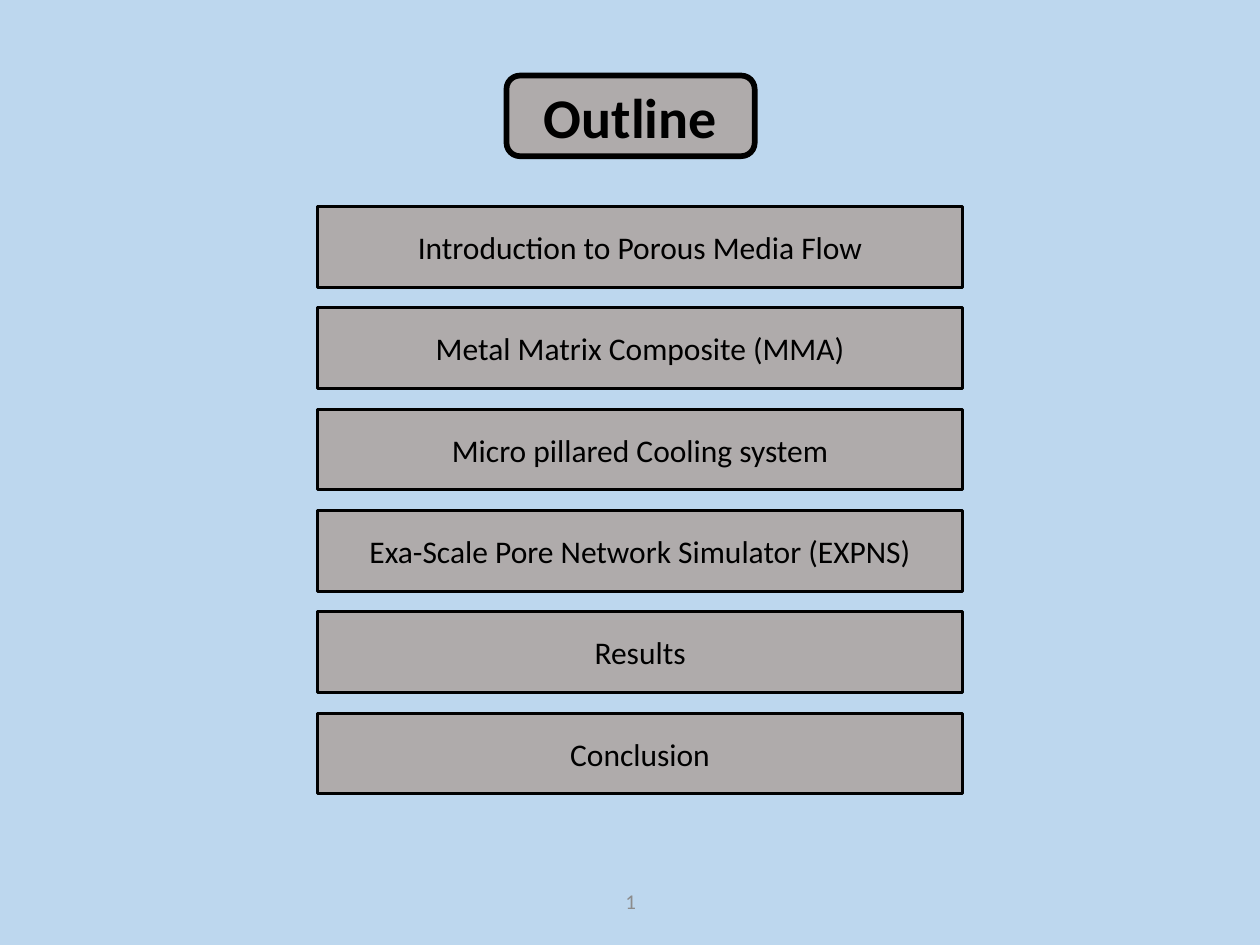
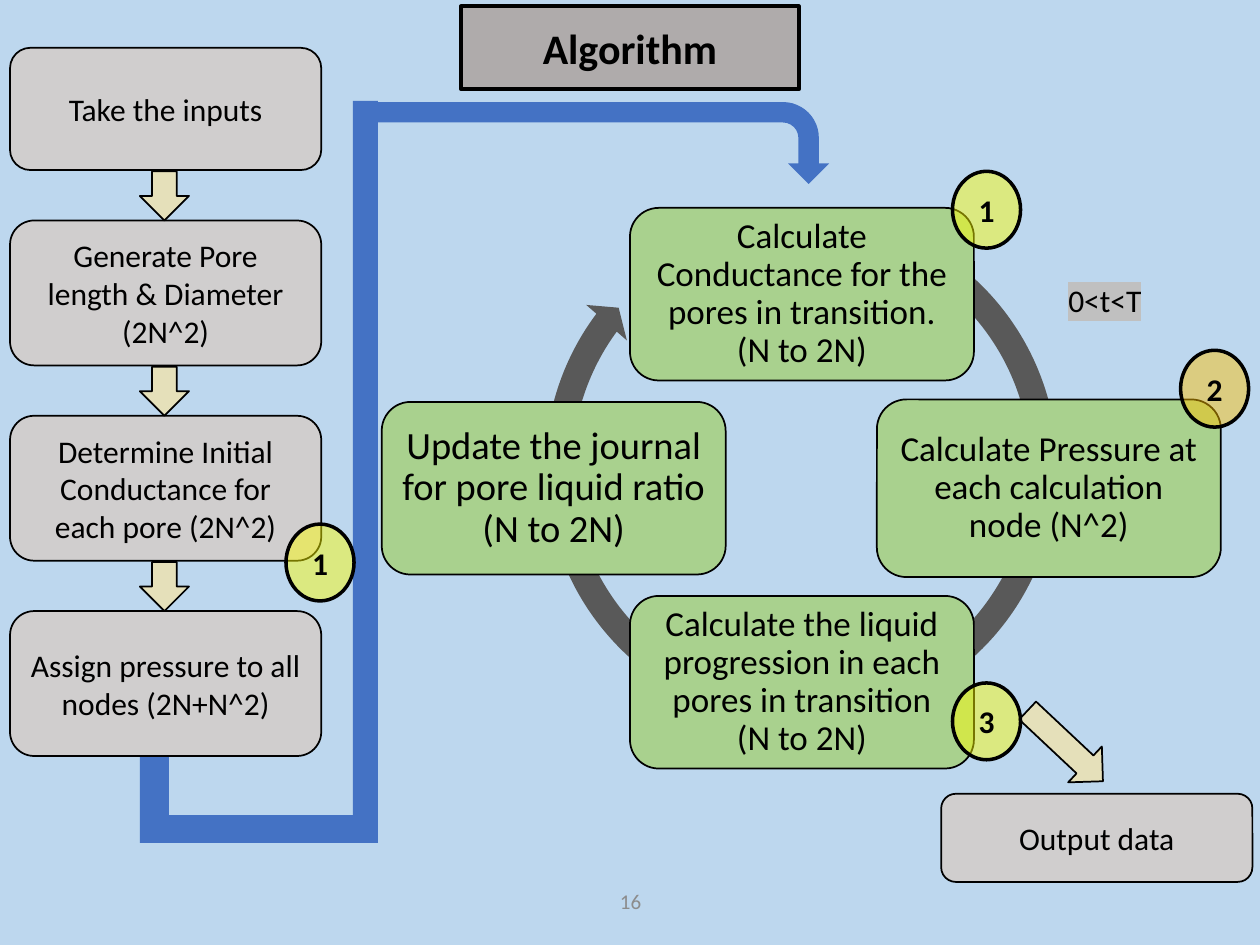
from lxml import etree
from pptx import Presentation
from pptx.dml.color import RGBColor
from pptx.enum.shapes import MSO_SHAPE as SHAPE
from pptx.enum.text import MSO_ANCHOR as ANCHOR, MSO_AUTO_SIZE as AUTO, PP_ALIGN as ALIGN
from pptx.oxml.ns import qn
from pptx.util import Inches, Pt

FONT = "Calibri"
BLACK = RGBColor(0x00, 0x00, 0x00)
SKY = RGBColor(0xBD, 0xD7, 0xEE)
STONE = RGBColor(0xAF, 0xAB, 0xAB)
SILVER = RGBColor(0xD0, 0xCE, 0xCE)
GREEN = RGBColor(0xA9, 0xD1, 0x8E)
BLUE = RGBColor(0x44, 0x72, 0xC4)
CHARCOAL = RGBColor(0x59, 0x59, 0x59)
CREAM = RGBColor(0xFF, 0xE6, 0x99)
YELLOW = RGBColor(0xFF, 0xFF, 0x00)
AMBER = RGBColor(0xFF, 0xC0, 0x00)
NUMBER_GREY = RGBColor(0x8C, 0x8C, 0x8C)

TOPICS = [
    "Introduction to Porous Media Flow",
    "Metal Matrix Composite (MMA)",
    "Micro pillared Cooling system",
    "Exa-Scale Pore Network Simulator (EXPNS)",
    "Results",
    "Conclusion",
]
TOPIC_TOP, TOPIC_LAST = 1.64, 5.66

SETUP_STEPS = [
    "Generate Pore\nlength & Diameter (2N^2)",
    "Determine Initial Conductance for each pore (2N^2)",
    "Assign pressure to all nodes (2N+N^2)",
]
SETUP_LEFT, SETUP_WIDTH = 0.08, 2.47
SETUP_TOP, SETUP_PITCH = 1.75, 1.55
ARROW = 0.39

CYCLE_STEPS = [
    (5, 1.65, 1.37, 20, "Calculate\nConductance for the pores in transition.\n(N to 2N)"),
    (6.96, 3.17, 1.41, 20, "Calculate Pressure at each calculation\nnode (N^2)"),
    (5, 4.73, 1.37, 20, "Calculate the liquid progression in each pores in transition\n(N to 2N)"),
    (3.03, 3.19, 1.37, 22, "Update the journal for pore liquid ratio\n(N to 2N)"),
]
BADGES = [
    (2.27, 4.16, "1", YELLOW),
    (7.56, 1.36, "1", YELLOW),
    (7.56, 5.42, "3", YELLOW),
    (9.37, 2.78, "2", AMBER),
]
ELBOW = [(1.11, 5.99), (1.34, 5.99), (1.34, 6.47), (2.91, 6.47), (2.91, 6.69), (1.11, 6.69)]


def write(shape, text, size, color=BLACK, bold=False, align=ALIGN.CENTER, anchor=ANCHOR.MIDDLE):
    """Write one formatted paragraph, with a line break at each newline."""
    tf = shape.text_frame
    tf.word_wrap = True
    tf.auto_size = AUTO.NONE
    tf.vertical_anchor = anchor
    p = tf.paragraphs[0]
    p.alignment = align
    for i, line in enumerate(text.split("\n")):
        if i:
            p.add_line_break()
        r = p.add_run()
        r.text = line
        r.font.name, r.font.size, r.font.bold = FONT, Pt(size), bold
        r.font.color.rgb = color
    return p


def paint(sp, fill, line=None, alpha=None):
    """Fill a shape flat, outlined in black when a line width is given."""
    sp.shadow.inherit = False
    sp.fill.solid()
    sp.fill.fore_color.rgb = fill
    if alpha:
        clr = sp.element.spPr.find(qn("a:solidFill"))[0]
        etree.SubElement(clr, qn("a:alpha")).set("val", str(alpha * 1000))
    if line:
        sp.line.color.rgb = BLACK
        sp.line.width = Pt(line)
    else:
        sp.line.fill.background()


def add_block(s, kind, box, fill, line=None, alpha=None, rotation=0, adjust=()):
    """Add a painted preset shape."""
    sp = s.shapes.add_shape(kind, *map(Inches, box))
    sp.rotation = rotation
    for i, value in enumerate(adjust):
        sp.adjustments[i] = value
    paint(sp, fill, line, alpha)
    return sp


def add_outline(s, points, fill):
    """Add a painted closed polygon."""
    start, *rest = [(Inches(x), Inches(y)) for x, y in points]
    builder = s.shapes.build_freeform(*start)
    builder.add_line_segments(rest, close=True)
    paint(builder.convert_to_shape(), fill)


def add_title(s, text, kind, box, size, line):
    """Set the slide title on an outlined plate."""
    plate = add_block(s, kind, box, STONE, line)
    title = s.shapes.title
    title.left, title.top, title.width, title.height = map(Inches, box)
    write(title, text, size, bold=True)
    plate.element.addnext(title.element)


def add_page_number(s, number):
    """Add the page number at the foot of the slide."""
    tb = s.shapes.add_textbox(*map(Inches, (3.88, 6.95, 2.25, 0.4)))
    write(tb, number, 12, NUMBER_GREY)


def add_step(s, left, top, height, text):
    """Add a rounded grey step box."""
    sp = add_block(s, SHAPE.ROUNDED_RECTANGLE, (left, top, SETUP_WIDTH, height), SILVER, 1)
    write(sp, text, 18)


def add_cycle_step(s, left, top, height, size, text):
    """Add a green box of the time loop."""
    sp = add_block(s, SHAPE.ROUNDED_RECTANGLE, (left, top, 2.73, height), GREEN, 1)
    tf = sp.text_frame
    tf.margin_left = tf.margin_right = tf.margin_top = tf.margin_bottom = Inches(0.08)
    write(sp, text, size).line_spacing = 0.9


def add_down_arrow(s, left, top, height=ARROW, rotation=0):
    """Add a translucent cream arrow."""
    add_block(s, SHAPE.DOWN_ARROW, (left, top, ARROW, height), CREAM, 1, 61, rotation)


def add_badge(s, left, top, text, fill):
    """Add a numbered translucent ellipse."""
    sp = add_block(s, SHAPE.OVAL, (left, top, 0.54, 0.61), fill, 2, 46)
    write(sp, text, 18, bold=True)


def add_time_range(s):
    """Add the highlighted time range of the loop."""
    tb = s.shapes.add_textbox(*map(Inches, (8.38, 2.18, 1.01, 0.41)))
    p = write(tb, "0<t<T", 18, align=ALIGN.LEFT, anchor=ANCHOR.TOP)
    highlight = etree.Element(qn("a:highlight"))
    etree.SubElement(highlight, qn("a:srgbClr")).set("val", "C0C0C0")
    p.runs[0]._r.get_or_add_rPr().find(qn("a:solidFill")).addnext(highlight)


def build_outline(s):
    """Build the outline slide."""
    add_title(s, "Outline", SHAPE.ROUNDED_RECTANGLE, (4.02, 0.6, 1.97, 0.64), 32, 3.25)
    pitch = (TOPIC_LAST - TOPIC_TOP) / (len(TOPICS) - 1)
    for i, topic in enumerate(TOPICS):
        sp = add_block(s, SHAPE.RECTANGLE, (2.52, TOPIC_TOP + i * pitch, 5.12, 0.64), STONE, 1.75)
        write(sp, topic, 18)
    add_page_number(s, "1")


def build_algorithm(s):
    """Build the algorithm flow slide."""
    add_block(s, SHAPE.RECTANGLE, (2.8, 0.8, 0.2, 5.89), BLUE)
    add_block(s, SHAPE.BENT_ARROW, (4.42, -0.7, 0.65, 3.67), BLUE, rotation=90)
    add_outline(s, ELBOW, BLUE)
    add_block(s, SHAPE.CIRCULAR_ARROW, (4.22, 1.57, 4.28, 4.28), CHARCOAL,
              adjust=(0.05, 2.73, 129.97, 179.19, 0.05))
    for step in CYCLE_STEPS:
        add_cycle_step(s, *step)

    add_step(s, SETUP_LEFT, 0.38, 0.97, "Take the inputs")
    for i, text in enumerate(SETUP_STEPS):
        top = SETUP_TOP + i * SETUP_PITCH
        add_step(s, SETUP_LEFT, top, 1.15, text)
        add_down_arrow(s, 1.11, top - ARROW)
    add_step(s, 7.47, 6.3, 0.7, "Output data")
    add_down_arrow(s, 8.26, 5.51, 0.82, 313.2)

    add_time_range(s)
    add_title(s, "Algorithm", SHAPE.RECTANGLE, (3.66, 0.05, 2.68, 0.66), 24, 2.25)
    for badge in BADGES:
        add_badge(s, *badge)
    add_page_number(s, "16")


def main():
    """Build and save the presentation."""
    prs = Presentation()
    prs.slide_width, prs.slide_height = Inches(10), Inches(7.5)
    fill = prs.slide_master.background.fill
    fill.solid()
    fill.fore_color.rgb = SKY
    for build in (build_outline, build_algorithm):
        build(prs.slides.add_slide(prs.slide_layouts[5]))
    prs.save("out.pptx")


if __name__ == "__main__":
    main()
